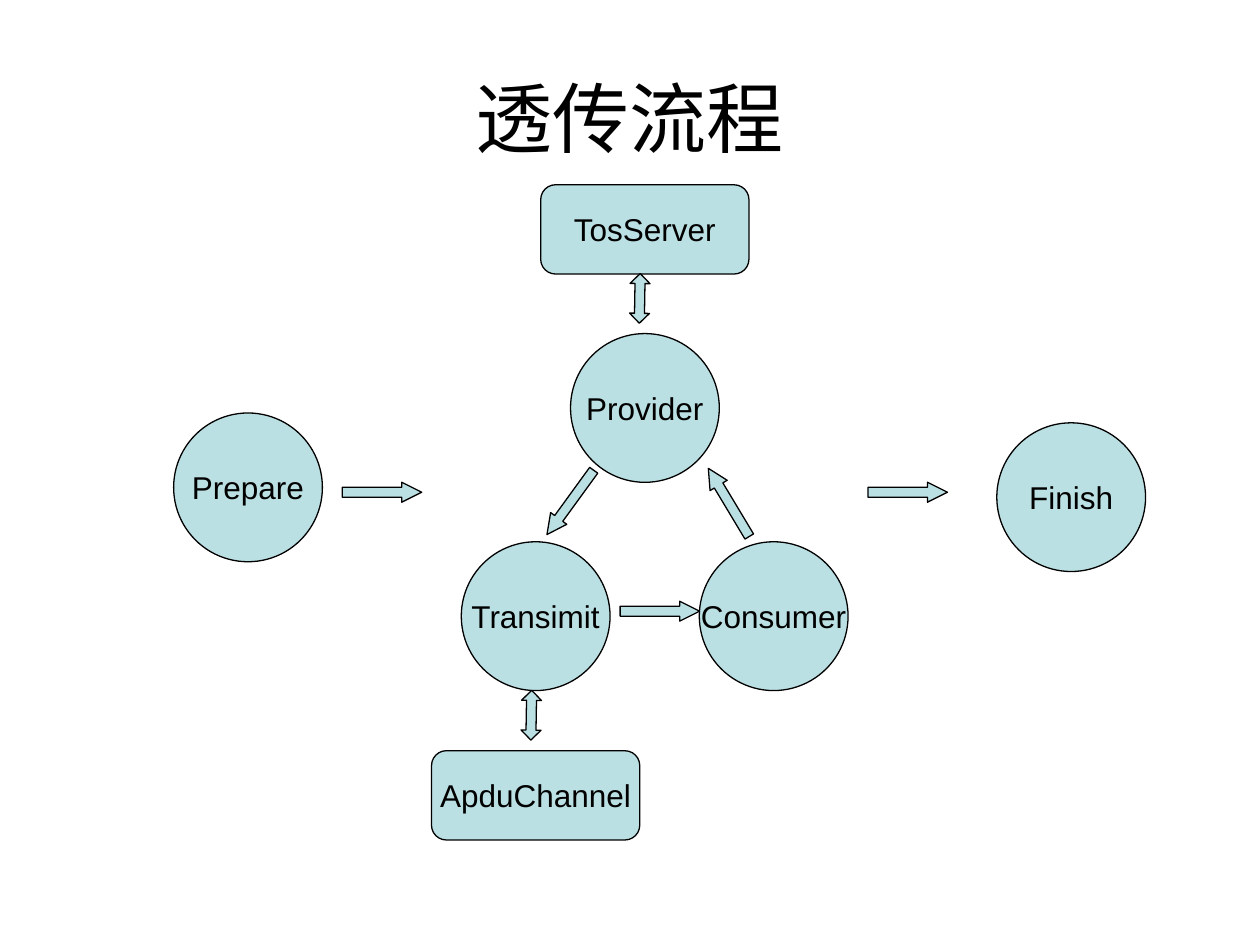
from dataclasses import dataclass

from pptx import Presentation
from pptx.dml.color import RGBColor
from pptx.enum.shapes import MSO_SHAPE
from pptx.enum.text import MSO_ANCHOR, PP_ALIGN
from pptx.shapes.autoshape import Shape
from pptx.slide import Slide
from pptx.text.text import TextFrame
from pptx.util import Pt

CIRCLE = MSO_SHAPE.OVAL
BOX = MSO_SHAPE.ROUNDED_RECTANGLE
ARROW = MSO_SHAPE.RIGHT_ARROW
DOUBLE_ARROW = MSO_SHAPE.LEFT_RIGHT_ARROW
CENTER = PP_ALIGN.CENTER
MIDDLE = MSO_ANCHOR.MIDDLE

FONT = "Arial"
BLACK = "000000"
FILL = "BBE0E3"

# Width and height in points of each kind of shape
SIZES = {
    CIRCLE: (85, 85),
    BOX: (119, 51),
    ARROW: (45.4, 11.4),
    DOUBLE_ARROW: (28.4, 11.4),
}
# Shaft thickness and head length, relative to the arrow's height
HEADS = {ARROW: (0.5, 1), DOUBLE_ARROW: (0.5, 0.5)}


@dataclass
class Node:
    text: str
    kind: MSO_SHAPE
    left: float
    top: float


@dataclass
class Arrow:
    kind: MSO_SHAPE
    left: float
    top: float
    rotation: float = 0


CIRCLES = [
    Node("Prepare", CIRCLE, 99.2, 236),
    Node("Provider", CIRCLE, 326, 190.6),
    Node("Consumer", CIRCLE, 399.6, 309.6),
    Node("Transimit", CIRCLE, 263.6, 309.6),
    Node("Finish", CIRCLE, 569.6, 241.6),
]
STEP_ARROWS = [
    Arrow(ARROW, 195.6, 275.6),
    Arrow(ARROW, 393.8, 281.4, 239),
    Arrow(ARROW, 354.4, 343.6),
    Arrow(ARROW, 303.2, 281.4, 126),
    Arrow(ARROW, 496, 275.6),
]
BOXES = [
    Node("TosServer", BOX, 309, 105.6),
    Node("ApduChannel", BOX, 246.6, 429),
]
LINK_ARROWS = [
    Arrow(DOUBLE_ARROW, 351.4, 164.8, 271),
    Arrow(DOUBLE_ARROW, 289.4, 403, 271),
]


def rgb(color: str) -> RGBColor:
    return RGBColor.from_string(color)


def set_text(tf: TextFrame, text: str, size: float) -> None:
    tf.text = text
    tf.vertical_anchor = MIDDLE
    p = tf.paragraphs[0]
    p.alignment = CENTER
    font = p.runs[0].font
    font.name = FONT
    font.size = Pt(size)
    font.color.rgb = rgb(BLACK)


def add_shape(s: Slide, kind: MSO_SHAPE, left: float, top: float) -> Shape:
    width, height = SIZES[kind]
    sp = s.shapes.add_shape(kind, Pt(left), Pt(top), Pt(width), Pt(height))
    sp.shadow.inherit = False
    sp.fill.solid()
    sp.fill.fore_color.rgb = rgb(FILL)
    sp.line.color.rgb = rgb(BLACK)
    sp.line.width = Pt(0.75)
    return sp


def add_node(s: Slide, node: Node) -> None:
    sp = add_shape(s, node.kind, node.left, node.top)
    sp.text_frame.word_wrap = False
    set_text(sp.text_frame, node.text, 18)


def add_arrow(s: Slide, arrow: Arrow) -> None:
    sp = add_shape(s, arrow.kind, arrow.left, arrow.top)
    sp.rotation = arrow.rotation
    for i, value in enumerate(HEADS[arrow.kind]):
        sp.adjustments[i] = value


def main() -> None:
    prs = Presentation()
    prs.slide_width, prs.slide_height = Pt(720), Pt(540)
    s = prs.slides.add_slide(prs.slide_layouts[5])

    title = s.shapes.title
    title.left, title.top = Pt(36), Pt(21.6)
    title.width, title.height = Pt(648), Pt(90)
    set_text(title.text_frame, "透传流程", 44)

    for nodes, arrows in ((CIRCLES, STEP_ARROWS), (BOXES, LINK_ARROWS)):
        for node in nodes:
            add_node(s, node)
        for arrow in arrows:
            add_arrow(s, arrow)

    prs.save("out.pptx")


if __name__ == "__main__":
    main()
